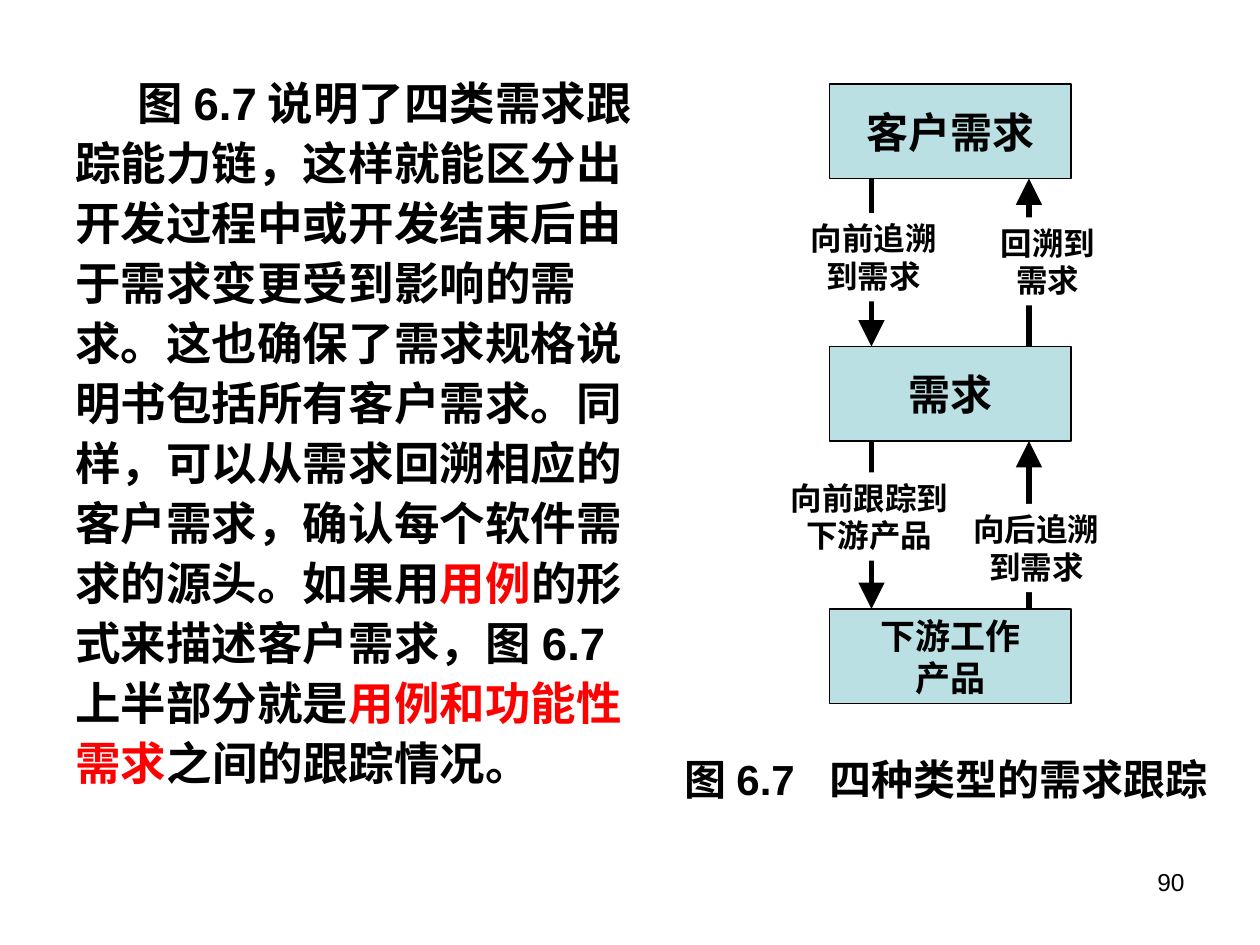
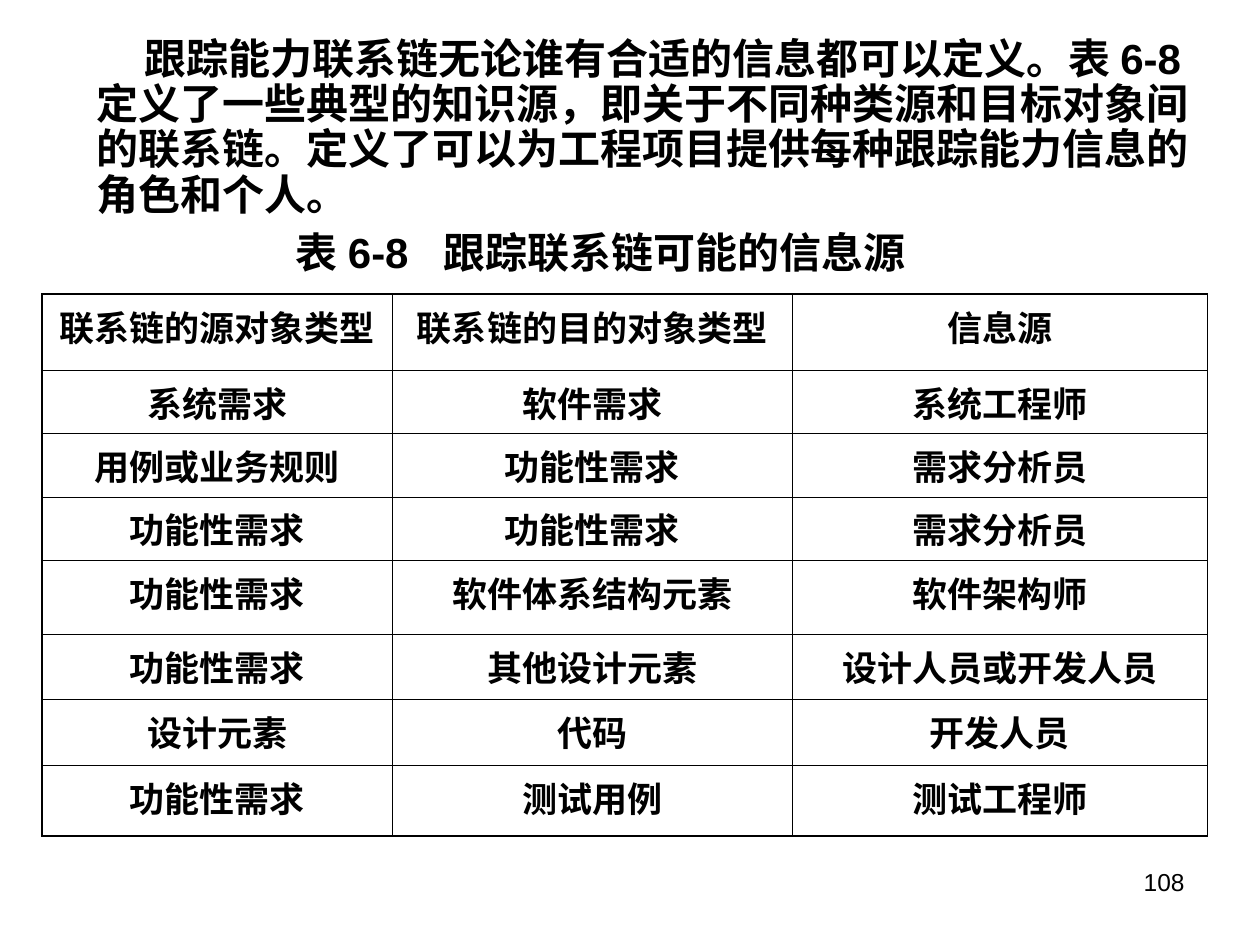
from dataclasses import dataclass
from typing import NamedTuple

from lxml import etree
from pptx import Presentation
from pptx.dml.color import RGBColor
from pptx.enum.shapes import MSO_CONNECTOR, MSO_SHAPE
from pptx.enum.text import MSO_ANCHOR, PP_ALIGN
from pptx.oxml.ns import qn
from pptx.util import Emu, Inches, Pt

LEFT, CENTER, RIGHT = PP_ALIGN.LEFT, PP_ALIGN.CENTER, PP_ALIGN.RIGHT
TOP, MIDDLE = MSO_ANCHOR.TOP, MSO_ANCHOR.MIDDLE
RECTANGLE = MSO_SHAPE.RECTANGLE
STRAIGHT = MSO_CONNECTOR.STRAIGHT

SLIDE_WIDTH, SLIDE_HEIGHT = Inches(10), Inches(7.5)
GRID_COLUMNS = 120
UNIT = SLIDE_WIDTH // GRID_COLUMNS  # the grid is square, with 90 rows


@dataclass(frozen=True)
class Theme:
    font: str = "Arial"
    ink: RGBColor = RGBColor(0, 0, 0)
    accent: RGBColor = RGBColor(255, 0, 0)
    node_fill: RGBColor = RGBColor(0xBB, 0xE0, 0xE3)
    paper: RGBColor = RGBColor(255, 255, 255)
    prose: int = 26
    heading: int = 24
    cell: int = 20
    label: int = 18
    number: int = 14
    arrow_line: float = 3
    node_line: float = 0.75
    outer_border: float = 1.08
    inner_border: float = 0.45


THEME = Theme()


class Area(NamedTuple):
    """A rectangle in grid columns and rows."""
    column: float
    row: float
    columns: float
    rows: float


class Span(NamedTuple):
    text: str
    accent: bool = False


class Prose(NamedTuple):
    area: Area
    spans: list[Span]
    size: int
    line_spacing: float
    indent: float


class Caption(NamedTuple):
    area: Area
    number: str
    title: str
    tab: float


class Node(NamedTuple):
    text: str
    size: int


class Arrow(NamedTuple):
    column: float
    start_row: float
    end_row: float


class Label(NamedTuple):
    area: Area
    text: str


NODE_COLUMN, NODE_ROW, NODE_COLUMNS, NODE_ROWS, NODE_PITCH = 79, 8, 23, 9, 25
DOWN_COLUMN, UP_COLUMN = 83, 98
NUMBER_AREA = Area(86, 82, 28, 6.2)

TRACE_PROSE = Prose(Area(6, 6, 57, 72), [
    Span("图6.7说明了四类需求跟踪能力链，这样就能区分出开发过程中或开发结束后由于需求变更"
         "受到影响的需求。这也确保了需求规格说明书包括所有客户需求。同样，可以从需求回溯相应的"
         "客户需求，确认每个软件需求的源头。如果用"),
    Span("用例", True),
    Span("的形式来描述客户需求，图6.7上半部分就是"),
    Span("用例和功能性需求", True),
    Span("之间的跟踪情况。"),
], THEME.prose, 1.1, 0.49)
TRACE_CAPTION = Caption(Area(64, 71.2, 55, 6), "图6.7", "四种类型的需求跟踪", 1.15)
NODES = [
    Node("客户需求", THEME.heading),
    Node("需求", THEME.heading),
    Node("下游工作\n产品", THEME.cell),
]
LABELS = [
    Label(Area(76, 20.3, 14.4, 8.4), "向前追溯\n到需求"),
    Label(Area(94.1, 20.7, 11.4, 8.4), "回溯到\n需求"),
    Label(Area(91.5, 48, 14.4, 8.4), "向后追溯\n到需求"),
    Label(Area(74.1, 45, 17.4, 8.4), "向前跟踪到\n下游产品"),
]

SOURCE_PROSE = Prose(Area(8, 3, 108, 20), [
    Span("跟踪能力联系链无论谁有合适的信息都可以定义。表6-8定义了一些典型的知识源，即关于"
         "不同种类源和目标对象间的联系链。定义了可以为工程项目提供每种跟踪能力信息的角色和个人。"),
], THEME.heading, 0.9, 0.38)
SOURCE_CAPTION = Caption(Area(27, 21, 75.8, 6), "表6-8", "跟踪联系链可能的信息源", 1.17)
TABLE_CORNER = (4, 28)
TABLE_COLUMNS = [33.36, 38.1, 39.54]
TABLE_ROWS = [7.25, 6.04, 6.04, 6.04, 7.05, 6.2, 6.3, 6.7]
SOURCES = [
    ("联系链的源对象类型", "联系链的目的对象类型", "信息源"),
    ("系统需求", "软件需求", "系统工程师"),
    ("用例或业务规则", "功能性需求", "需求分析员"),
    ("功能性需求", "功能性需求", "需求分析员"),
    ("功能性需求", "软件体系结构元素", "软件架构师"),
    ("功能性需求", "其他设计元素", "设计人员或开发人员"),
    ("设计元素", "代码", "开发人员"),
    ("功能性需求", "测试用例", "测试工程师"),
]


def grid(units: float) -> Emu:
    return Emu(round(units * UNIT))


def place(area: Area) -> list[Emu]:
    return [grid(units) for units in area]


def style(para, size: int, bold: bool = True, align=LEFT) -> None:
    para.alignment = align
    font = para.font
    font.name, font.size, font.bold = THEME.font, Pt(size), bold
    font.color.rgb = THEME.ink


def fill_text(frame, text: str, size: int, bold: bool = True, align=LEFT) -> None:
    """Write one paragraph for each line of text, all in one style."""
    frame.text = text
    for para in frame.paragraphs:
        style(para, size, bold, align)


def add_text_frame(page, area: Area):
    frame = page.shapes.add_textbox(*place(area)).text_frame
    frame.word_wrap = True
    return frame


def add_prose(page, prose: Prose) -> None:
    """Indent the first line and keep punctuation inside the right edge."""
    para = add_text_frame(page, prose.area).paragraphs[0]
    para.line_spacing = prose.line_spacing
    properties = para._p.get_or_add_pPr()
    properties.set("indent", str(Inches(prose.indent)))
    properties.set("hangingPunct", "0")
    style(para, prose.size)
    for part in prose.spans:
        span = para.add_run()
        span.text = part.text
        span.font.color.rgb = THEME.accent if part.accent else THEME.ink


def add_caption(page, caption: Caption) -> None:
    frame = add_text_frame(page, caption.area)
    frame.text = f"{caption.number}\t{caption.title}"
    para = frame.paragraphs[0]
    tabs = etree.SubElement(para._p.get_or_add_pPr(), qn("a:tabLst"))
    etree.SubElement(tabs, qn("a:tab"), pos=str(Inches(caption.tab)), algn="l")
    style(para, THEME.heading)


def add_page_number(page, number: int) -> None:
    frame = add_text_frame(page, NUMBER_AREA)
    fill_text(frame, str(number), THEME.number, bold=False, align=RIGHT)


def add_box(page, area: Area, text: str, size: int, fill: RGBColor, outlined: bool) -> None:
    box = page.shapes.add_shape(RECTANGLE, *place(area))
    box.shadow.inherit = False
    box.fill.solid()
    box.fill.fore_color.rgb = fill
    if outlined:
        box.line.color.rgb = THEME.ink
        box.line.width = Pt(THEME.node_line)
    else:
        box.line.fill.background()
    frame = box.text_frame
    frame.word_wrap = False
    frame.vertical_anchor = MIDDLE if outlined else TOP
    fill_text(frame, text, size, align=CENTER)


def add_arrow(page, arrow: Arrow) -> None:
    column = grid(arrow.column)
    line = page.shapes.add_connector(
        STRAIGHT, column, grid(arrow.start_row), column, grid(arrow.end_row))
    line.line.color.rgb = THEME.ink
    line.line.width = Pt(THEME.arrow_line)
    etree.SubElement(line.line._get_or_add_ln(), qn("a:tailEnd"),
                     type="triangle", w="lg", len="lg")
    etree.SubElement(line._element.spPr, qn("a:effectLst"))


def set_borders(cell, widths: dict[str, float]) -> None:
    """Put the lines first in the cell's properties, in the order given."""
    properties = cell._tc.get_or_add_tcPr()
    for index, (side, width) in enumerate(widths.items()):
        border = etree.Element(qn(f"a:ln{side}"), w=str(Pt(width)))
        fill = etree.SubElement(border, qn("a:solidFill"))
        etree.SubElement(fill, qn("a:srgbClr"), val=str(THEME.ink))
        properties.insert(index, border)


def add_source_table(page) -> None:
    area = Area(*TABLE_CORNER, sum(TABLE_COLUMNS), sum(TABLE_ROWS))
    table = page.shapes.add_table(len(TABLE_ROWS), len(TABLE_COLUMNS), *place(area)).table
    table.first_row = table.horz_banding = False
    for column, width in zip(table.columns, TABLE_COLUMNS):
        column.width = grid(width)
    for row, height in zip(table.rows, TABLE_ROWS):
        row.height = grid(height)
    last_row, last_column = len(TABLE_ROWS) - 1, len(TABLE_COLUMNS) - 1
    for r, texts in enumerate(SOURCES):
        for c, text in enumerate(texts):
            cell = table.cell(r, c)
            cell.fill.background()
            fill_text(cell.text_frame, text, THEME.cell, align=CENTER)
            outer = {"L": c == 0, "R": c == last_column, "T": r == 0, "B": r == last_row}
            set_borders(cell, {side: THEME.outer_border if edge else THEME.inner_border
                               for side, edge in outer.items()})


def add_trace_diagram(page) -> None:
    rows = [NODE_ROW + NODE_PITCH * index for index in range(len(NODES))]
    for node, row in zip(NODES, rows):
        area = Area(NODE_COLUMN, row, NODE_COLUMNS, NODE_ROWS)
        add_box(page, area, node.text, node.size, THEME.node_fill, outlined=True)
    for upper, lower in zip(rows, rows[1:]):
        bottom = upper + NODE_ROWS
        add_arrow(page, Arrow(DOWN_COLUMN, bottom, lower))
        add_arrow(page, Arrow(UP_COLUMN, lower, bottom))
    for label in LABELS:
        add_box(page, label.area, label.text, THEME.label, THEME.paper, outlined=False)


def add_page(deck, number: int, prose: Prose, caption: Caption, draw_figure) -> None:
    page = deck.slides.add_slide(deck.slide_layouts[6])
    add_prose(page, prose)
    draw_figure(page)
    add_caption(page, caption)
    add_page_number(page, number)


def main() -> None:
    deck = Presentation()
    deck.slide_width, deck.slide_height = SLIDE_WIDTH, SLIDE_HEIGHT
    add_page(deck, 90, TRACE_PROSE, TRACE_CAPTION, add_trace_diagram)
    add_page(deck, 108, SOURCE_PROSE, SOURCE_CAPTION, add_source_table)
    deck.save("out.pptx")


if __name__ == "__main__":
    main()
